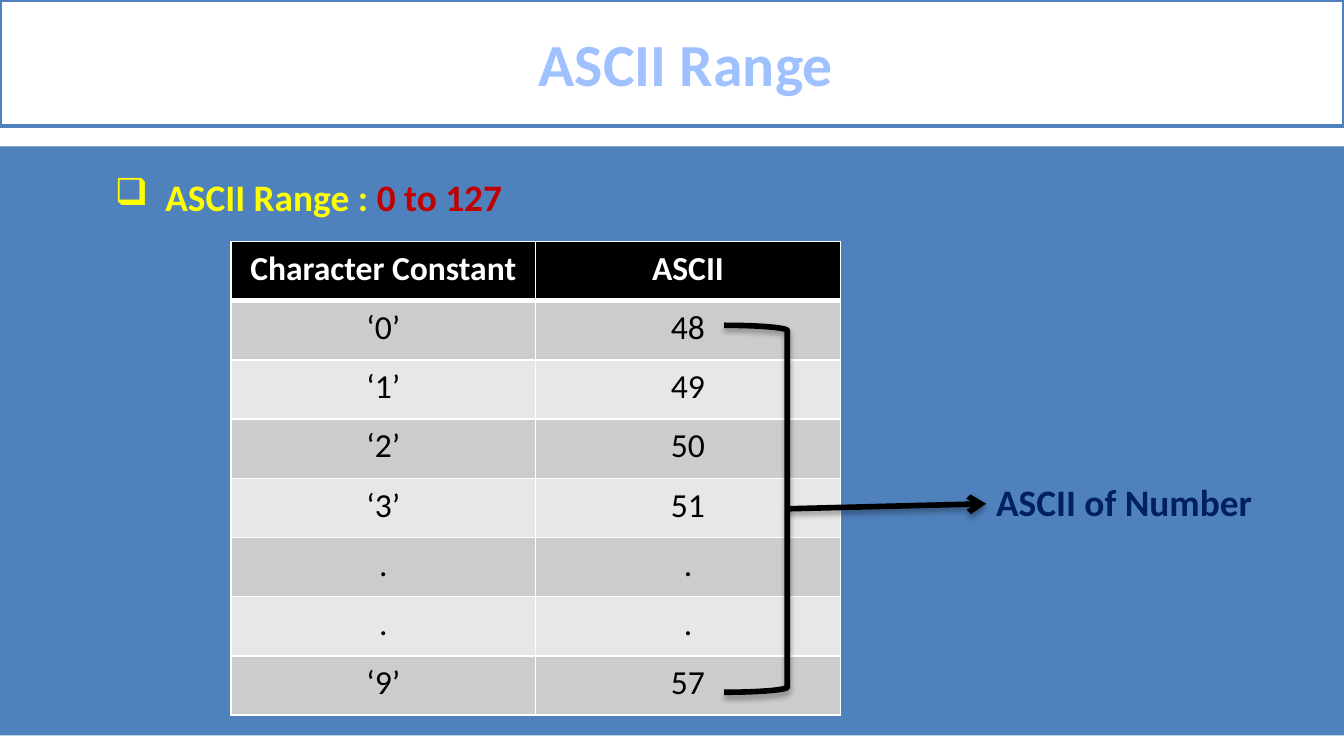
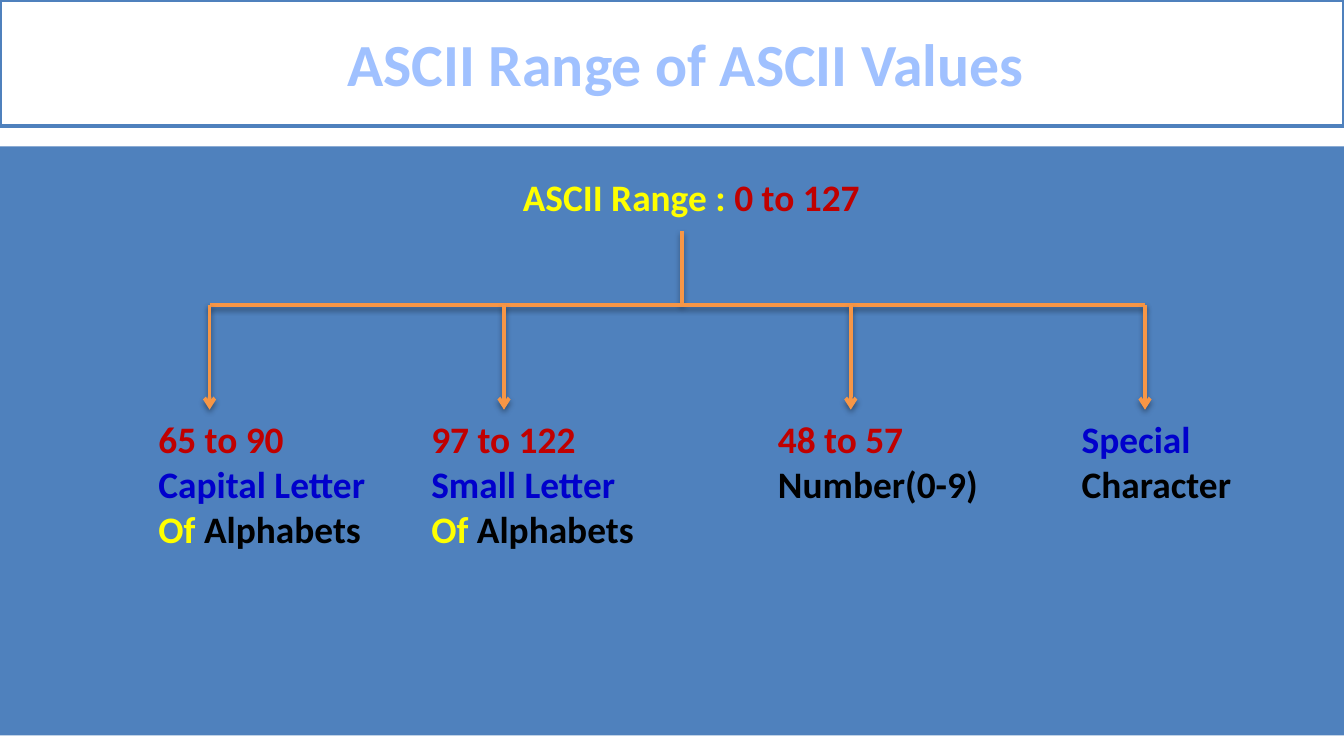
from lxml import etree
from pptx import Presentation
from pptx import util as u
from pptx.dml import color as dml
from pptx.enum import shapes, text
from pptx.oxml import ns

Pt = u.Pt
FONT = "Calibri"
BLUE, WHITE, BLACK = "4F81BD", "FFFFFF", "000000"
TITLE, NAVY, INK = "A0C1FF", "002060", "0000CC"
YELLOW, RED, ORANGE = "FFFF00", "C00000", "F79646"
BANDS = ("CCCCCC", "E7E7E7")
WIDTH, HEIGHT = 720, 405
TITLE_BOX = (0, 0, WIDTH, 67.5)
BODY_BOX = (0, 78.5, WIDTH, 315.5)
RANGE = [("ASCII Range : ", YELLOW), ("0 to 127", RED)]
ROWS = [("Character Constant", "ASCII"), ("‘0’", "48"), ("‘1’", "49"),
        ("‘2’", "50"), ("‘3’", "51"), (".", "."), (".", "."), ("‘9’", "57")]
GROUPS = [
    (112.3, 5.8, [[("65 to 90", RED)], [("Capital Letter", INK)],
                  [("Of ", YELLOW), ("Alphabets", BLACK)]]),
    (270, 152, [[("97 to 122", RED)], [("Small Letter", INK)],
                [("Of ", YELLOW), ("Alphabets", BLACK)]]),
    (455.8, 337.7, [[("48 to 57", RED)], [("Number(0-9)", BLACK)]]),
    (613.4, 500.4, [[("Special", INK)], [("Character", BLACK)]]),
]


def rgb(value):
    """Turn a hex string into a colour."""
    return dml.RGBColor.from_string(value)


def sub(parent, tag, **attrs):
    """Append a drawing element with attributes."""
    el = etree.SubElement(parent, ns.qn("a:" + tag))
    for key, value in attrs.items():
        el.set(key, str(value))
    return el


def style_run(r, size, color, bold=True):
    """Set the font of a run."""
    r.font.name, r.font.size, r.font.bold = FONT, Pt(size), bold
    r.font.color.rgb = rgb(color)


def add_shadow(sp, alpha, dist):
    """Give a line or outline a soft shadow straight below it."""
    effects = sub(sp._element.spPr, "effectLst")
    shadow = sub(effects, "outerShdw", blurRad=Pt(3.1), dist=Pt(dist),
                 dir=5400000, rotWithShape=0)
    sub(sub(shadow, "srgbClr", val=BLACK), "alpha", val=alpha * 1000)


def add_line(s, start, end, color, width, arrow=False, alpha=38, dist=1.6):
    """Draw a shadowed line, with an arrowhead at its end if asked."""
    sp = s.shapes.add_connector(shapes.MSO_CONNECTOR.STRAIGHT,
                                *map(Pt, start + end))
    sp.line.color.rgb = rgb(color)
    sp.line.width = Pt(width)
    if arrow:
        sub(sp.line._get_or_add_ln(), "tailEnd", type="arrow")
    add_shadow(sp, alpha, dist)


def add_text(s, box, lines, indent=72, bullet=None):
    """Write bold lines of coloured runs, indented inside a box."""
    tf = s.shapes.add_textbox(*map(Pt, box)).text_frame
    tf.word_wrap = True
    for i, line in enumerate(lines):
        p = tf.add_paragraph() if i else tf.paragraphs[0]
        pr = p._p.get_or_add_pPr()
        pr.set("marL", str(Pt(indent)))
        if bullet:
            pr.set("indent", str(Pt(-27)))
            sub(pr, "buChar", char=bullet)
        for content, color in line:
            r = p.add_run()
            r.text = content
            style_run(r, 20, color)


def add_panel(s, box, fill):
    """Draw a plain filled rectangle."""
    sp = s.shapes.add_shape(shapes.MSO_SHAPE.RECTANGLE, *map(Pt, box))
    sp.shadow.inherit = False
    sp.fill.solid()
    sp.fill.fore_color.rgb = rgb(fill)
    sp.line.fill.background()
    return sp


def add_base(prs, title):
    """Add a slide with the body panel and the title band."""
    s = prs.slides.add_slide(prs.slide_layouts[6])
    add_panel(s, BODY_BOX, BLUE)
    sp = add_panel(s, TITLE_BOX, WHITE)
    sp.line.color.rgb = rgb(BLUE)
    sp.line.width = Pt(2)
    tf = sp.text_frame
    tf.text = title
    tf.vertical_anchor = text.MSO_ANCHOR.MIDDLE
    p = tf.paragraphs[0]
    p.alignment = text.PP_ALIGN.CENTER
    p._p.get_or_add_pPr().set("marL", str(Pt(15)))
    style_run(p.runs[0], 32, TITLE)
    return s


def style_cell(cell, row, value):
    """Fill, border and label one cell according to its row."""
    pr = cell._tc.get_or_add_tcPr()
    for side in "LRTB":
        heavy = (row, side) in ((0, "B"), (1, "T"))
        ln = sub(pr, "ln" + side, w=Pt(3 if heavy else 1))
        sub(sub(ln, "solidFill"), "srgbClr", val=WHITE)
    cell.fill.solid()
    cell.fill.fore_color.rgb = rgb(BANDS[(row - 1) % 2] if row else BLACK)
    cell.text = value
    p = cell.text_frame.paragraphs[0]
    p.alignment = text.PP_ALIGN.CENTER
    style_run(p.runs[0], 18, BLACK if row else WHITE, bold=not row)


def add_codes(s, box):
    """Build the table of characters and codes."""
    tb = s.shapes.add_table(len(ROWS), len(ROWS[0]), *map(Pt, box)).table
    for col in tb.columns:
        col.width = Pt(box[2] / len(ROWS[0]))
    for i, values in enumerate(ROWS):
        tb.rows[i].height = Pt(box[3] / len(ROWS))
        for j, value in enumerate(values):
            style_cell(tb.cell(i, j), i, value)


def add_bracket(s, box):
    """Bracket the codes and point to their label."""
    x, y, w, h = box
    sp = s.shapes.add_shape(shapes.MSO_SHAPE.RIGHT_BRACKET, *map(Pt, box))
    sp.fill.background()
    sp.line.color.rgb = rgb(BLACK)
    sp.line.width = Pt(3)
    add_shadow(sp, 35, 1.8)
    mid = y + h / 2
    add_line(s, (x + w, mid), (x + w + 106.5, mid - 2.7), BLACK, 3,
             arrow=True, alpha=35, dist=1.8)
    add_text(s, (x + 62, mid - 19.2, WIDTH - x - 62, 32),
             [[("ASCII of Number", NAVY)]], indent=76.5)


def add_tree(s, box):
    """Split the whole range into its labelled groups."""
    x, y, w, h = box
    bar, tip = y + 85, y + 141
    add_text(s, (x + 196.5, y + 11.5, 326, 55), [RANGE], indent=76.5)
    add_line(s, (x + 365.5, y + 45.3), (x + 365.5, bar), ORANGE, 2)
    add_line(s, (x + GROUPS[0][0], bar), (x + GROUPS[-1][0], bar), ORANGE, 2)
    for stem, left, lines in GROUPS:
        add_line(s, (x + stem, bar), (x + stem, tip), ORANGE, 2, arrow=True)
        add_text(s, (x + left, tip, 208, 32 + 24 * len(lines)), lines)


def range_slide(prs):
    """Build the slide with the table of codes."""
    s = add_base(prs, "ASCII Range")
    x, y, w, h = BODY_BOX
    add_text(s, (x, y + 11.5, w, 32), [RANGE], indent=81.5, bullet="❑")
    add_codes(s, (x + 123.8, y + 51, 326.4, 253.6))
    add_bracket(s, (x + 388, y + 95.8, 33.8, 196.6))


def values_slide(prs):
    """Build the slide with the tree of ranges."""
    s = add_base(prs, "ASCII Range of ASCII Values")
    add_tree(s, BODY_BOX)


def main():
    """Build and save the presentation."""
    prs = Presentation()
    prs.slide_width, prs.slide_height = Pt(WIDTH), Pt(HEIGHT)
    range_slide(prs)
    values_slide(prs)
    prs.save("out.pptx")


if __name__ == "__main__":
    main()
